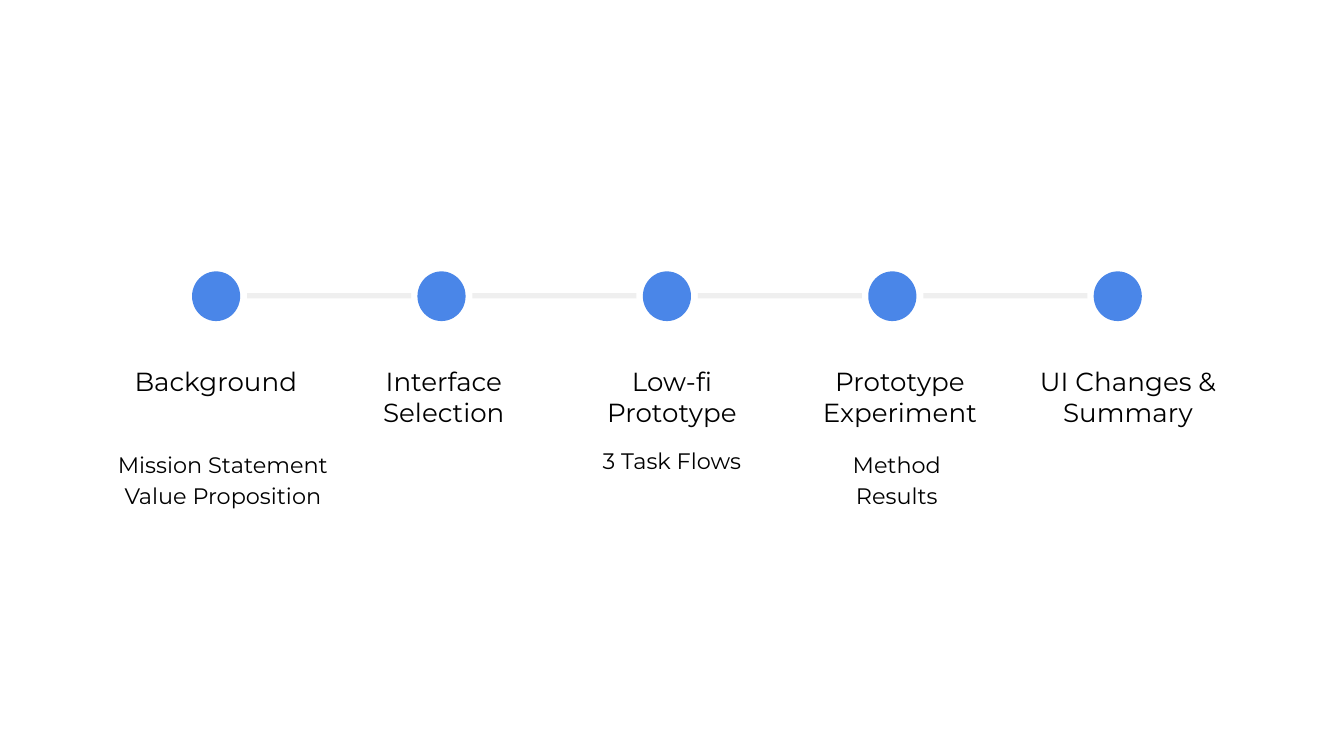
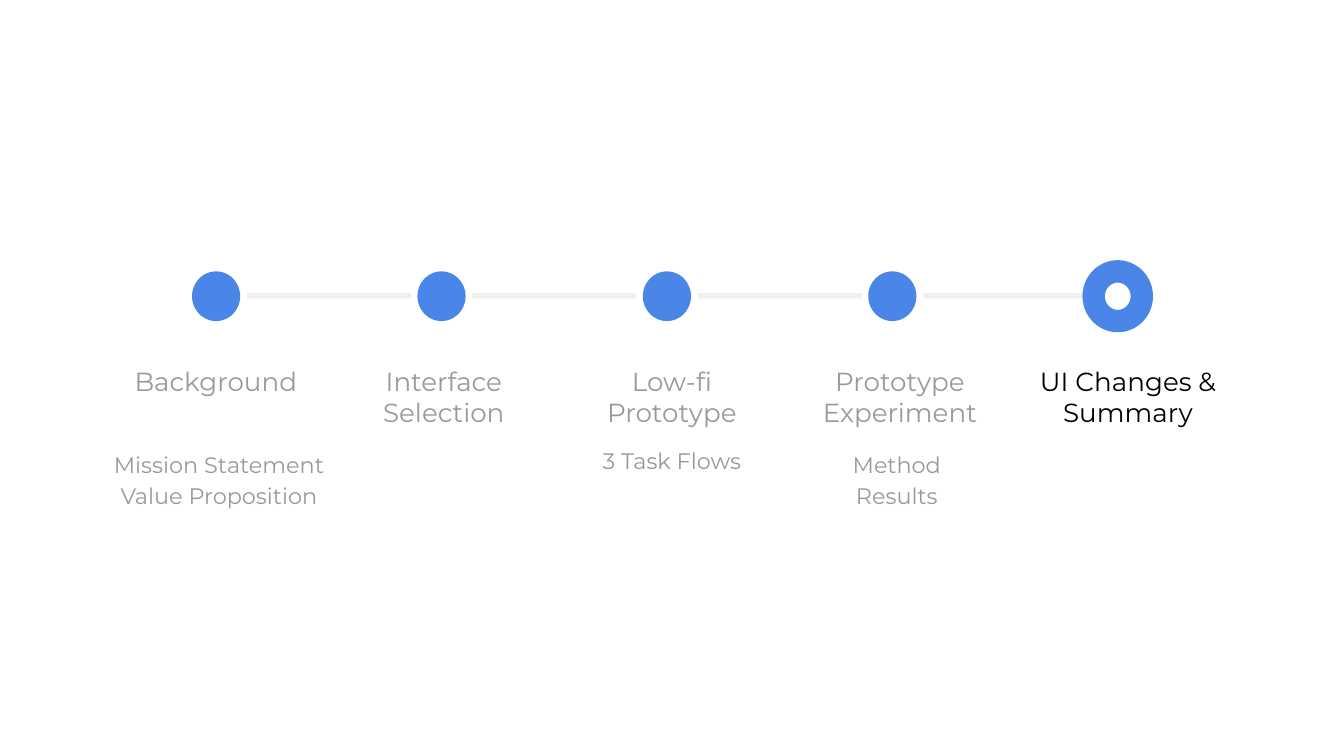
from dataclasses import dataclass

from pptx import Presentation
from pptx.dml.color import RGBColor
from pptx.enum.shapes import MSO_SHAPE
from pptx.enum.text import PP_ALIGN
from pptx.util import Cm, Pt


@dataclass(frozen=True)
class Theme:
    font: str = "Montserrat"
    label_size: int = 14
    detail_size: int = 12
    ring_width: int = 12
    accent: RGBColor = RGBColor(0x4A, 0x86, 0xE8)
    track: RGBColor = RGBColor(0xEF, 0xEF, 0xEF)
    text: RGBColor = RGBColor(0, 0, 0)
    muted: RGBColor = RGBColor(0x99, 0x99, 0x99)


@dataclass(frozen=True)
class Detail:
    text: str
    width: float
    height: float
    shift: float = 0  # from the left edge of the step's label
    spacing: float = 1.0


@dataclass(frozen=True)
class Box:
    left: float
    top: float


THEME = Theme()
TIMELINE = Box(2.16, 5.13)
DOT_PITCH, LABEL_PITCH = 4.26, 4.31
DOT_LEFT, DOT_WIDTH, DOT_HEIGHT = 1.47, 0.91, 0.94
TRACK_LEFT, TRACK_TOP, TRACK_WIDTH, TRACK_HEIGHT = 2.51, 0.41, 3.1, 0.1
LABEL_TOP, LABEL_WIDTH, LABEL_HEIGHT = 1.52, 3.84, 1.7
DETAIL_TOP = 3.07


def agenda_steps(background_width):
    """Pair each step's label with its detail, if it has one."""
    return [
        ("Background", Detail("Mission Statement\nValue Proposition",
                              background_width, 3.2, -0.28, 1.15)),
        ("Interface Selection", None),
        ("Low-fi Prototype", Detail("3 Task Flows", LABEL_WIDTH, 0.94)),
        ("Prototype Experiment", Detail("Method Results", 3.76, 1.55, -0.02, 1.15)),
        ("UI Changes & Summary", None),
    ]


def add_filled(slide, preset, left, top, width, height, color):
    shape = slide.shapes.add_shape(preset, Cm(left), Cm(top), Cm(width), Cm(height))
    shape.shadow.inherit = False
    shape.fill.solid()
    shape.fill.fore_color.rgb = color
    shape.line.fill.background()
    return shape


def add_caption(slide, left, top, width, height, text, size, color, spacing=None):
    frame = slide.shapes.add_textbox(Cm(left), Cm(top), Cm(width), Cm(height)).text_frame
    frame.word_wrap = True
    frame.margin_left = frame.margin_right = Cm(0.25)
    frame.margin_top = frame.margin_bottom = Cm(0.25)
    frame.text = text
    for paragraph in frame.paragraphs:
        paragraph.alignment = PP_ALIGN.CENTER
        paragraph.line_spacing = spacing
        for run in paragraph.runs:
            run.font.name = THEME.font
            run.font.size = Pt(size)
            run.font.color.rgb = color


def add_track(slide, box, step_count):
    for gap in range(step_count - 1):
        add_filled(slide, MSO_SHAPE.RECTANGLE,
                   box.left + TRACK_LEFT + gap * DOT_PITCH, box.top + TRACK_TOP,
                   TRACK_WIDTH, TRACK_HEIGHT, THEME.track)


def add_dot(slide, box, index, is_current):
    """Draw a step's dot, as a ring for the current step."""
    dot = add_filled(slide, MSO_SHAPE.OVAL, box.left + DOT_LEFT + index * DOT_PITCH,
                     box.top, DOT_WIDTH, DOT_HEIGHT, THEME.accent)
    if is_current:
        dot.fill.background()
        dot.line.color.rgb = THEME.accent
        dot.line.width = Pt(THEME.ring_width)


def add_step_text(slide, box, index, label, detail, color):
    left = box.left + index * LABEL_PITCH
    add_caption(slide, left, box.top + LABEL_TOP, LABEL_WIDTH, LABEL_HEIGHT,
                label, THEME.label_size, color)
    if detail:
        add_caption(slide, left + detail.shift, box.top + DETAIL_TOP,
                    detail.width, detail.height, detail.text,
                    THEME.detail_size, color, detail.spacing)


def add_agenda_slide(deck, box, steps, current=None):
    """Add the timeline; with a current step, mute all the others."""
    slide = deck.slides.add_slide(deck.slide_layouts[6])
    add_track(slide, box, len(steps))
    for index, (label, detail) in enumerate(steps):
        is_current = index == current
        color = THEME.text if current is None or is_current else THEME.muted
        add_dot(slide, box, index, is_current)
        add_step_text(slide, box, index, label, detail, color)


def main():
    deck = Presentation()
    deck.slide_width, deck.slide_height = Cm(25.4), Cm(14.29)
    add_agenda_slide(deck, TIMELINE, agenda_steps(background_width=4.67))
    add_agenda_slide(deck, TIMELINE, agenda_steps(background_width=4.52), current=4)
    deck.save("out.pptx")


if __name__ == "__main__":
    main()
